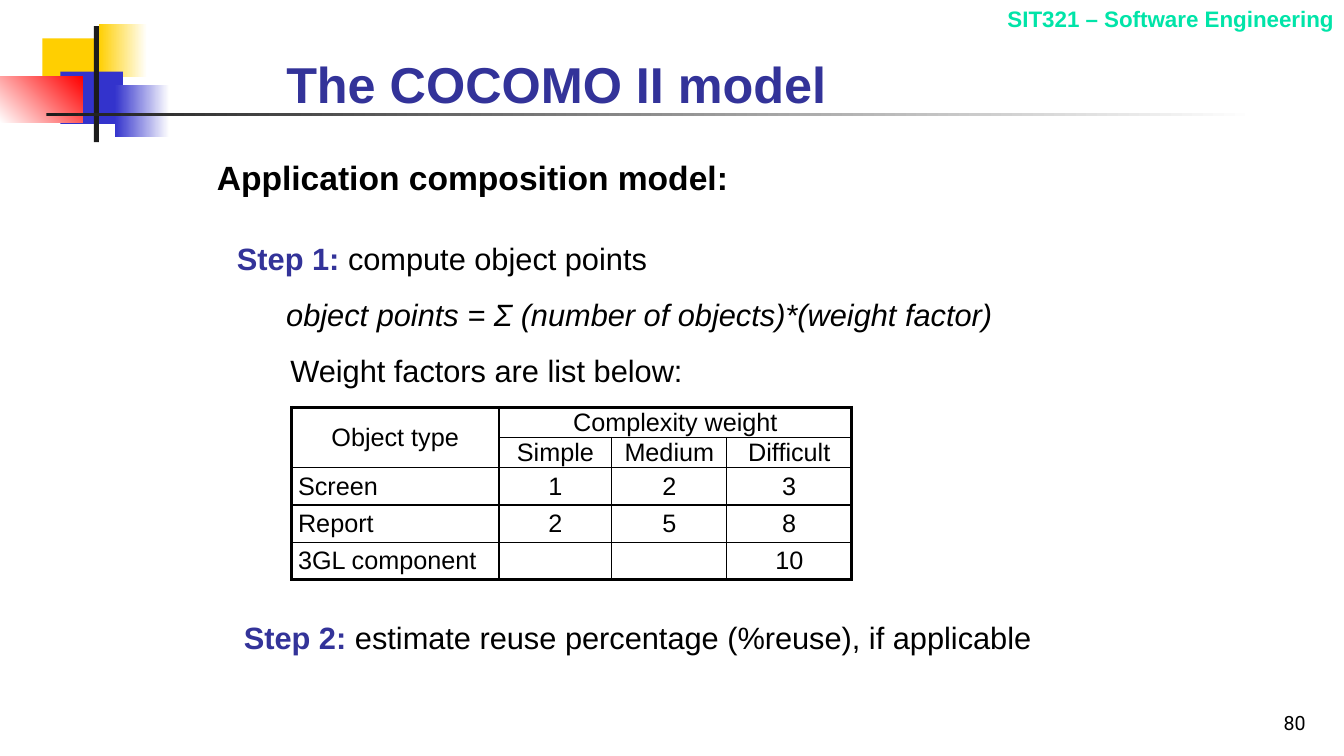
from dataclasses import dataclass

from lxml.etree import SubElement
from pptx import Presentation
from pptx.dml.color import RGBColor
from pptx.enum.shapes import MSO_SHAPE as Preset
from pptx.enum.text import MSO_ANCHOR as Anchor
from pptx.enum.text import MSO_AUTO_SIZE as AutoSize
from pptx.enum.text import PP_ALIGN as Align
from pptx.oxml.ns import qn
from pptx.util import Inches, Pt

SLIDE_WIDTH, SLIDE_HEIGHT = Inches(13.333), Inches(7.5)


@dataclass(frozen=True)
class Theme:
    sans: str = "Arial"
    number_face: str = "Roboto"
    ink: str = "000000"
    paper: str = "FFFFFF"
    accent: str = "333399"
    course: str = "00E4A8"
    yellow: str = "FFCF01"
    blue: str = "3333CC"
    red: str = "FF0000"
    charcoal: str = "1C1C1C"
    title_size: int = 36
    heading_size: int = 24
    body_size: int = 22
    table_size: int = 18
    course_size: int = 16
    number_size: int = 14
    thin: float = 1
    thick: float = 2.25


THEME = Theme()


@dataclass(frozen=True)
class Area:
    """A rectangle in percent of the slide's width and height."""
    left: float
    top: float
    width: float
    height: float

    def bounds(self) -> tuple[int, int, int, int]:
        return (share_x(self.left), share_y(self.top),
                share_x(self.width), share_y(self.height))


@dataclass(frozen=True)
class Ornament:
    area: Area
    color: str
    fade_to: str | None = None
    angle: int = 0


@dataclass(frozen=True)
class Span:
    text: str
    size: int = THEME.body_size
    color: str = THEME.ink
    bold: bool = False
    italic: bool = False
    face: str = THEME.sans


@dataclass(frozen=True)
class TextLine:
    area: Area
    spans: tuple[Span, ...]


ORNAMENTS = (
    Ornament(Area(3.15, 5.07, 4.8, 6.93), THEME.yellow),
    Ornament(Area(7.35, 3.2, 3.6, 6.93), THEME.yellow, THEME.paper),
    Ornament(Area(4.5, 9.47, 4.65, 6.93), THEME.blue),
    Ornament(Area(8.55, 11.2, 4.05, 6.93), THEME.blue, THEME.paper),
    Ornament(Area(0, 10.13, 6.15, 6.13), THEME.paper, THEME.red, 45),
    Ornament(Area(6.98, 3.47, 0.38, 15.33), THEME.charcoal),
    Ornament(Area(3.45, 14.93, 90, 0.4), THEME.charcoal, THEME.paper),
)

TITLE = TextLine(Area(20.55, 5.33, 44.55, 10.4), (
    Span("The COCOMO II model", THEME.title_size, THEME.accent, bold=True),))
CORNER_LINES = (
    TextLine(Area(60.23, 0, 39.77, 4.93), (
        Span("SIT321 – Software Engineering", THEME.course_size, THEME.course, bold=True),)),
    TextLine(Area(77.03, 91.07, 20.85, 6.67), (
        Span("80", THEME.number_size, face=THEME.number_face),)),
)
BODY_LINES = (
    TextLine(Area(16.13, 20.8, 38.4, 5.33), (
        Span("Application composition model:", THEME.heading_size, bold=True),)),
    TextLine(Area(17.63, 31.73, 30.9, 4.93), (
        Span("Step 1: ", color=THEME.accent, bold=True), Span("compute object points"))),
    TextLine(Area(21.3, 39.07, 53.25, 4.93), (
        Span("object points = Σ (number of objects)*(weight factor)", italic=True),)),
    TextLine(Area(21.6, 46.53, 29.55, 4.93), (Span("Weight factors are list below:"),)),
    TextLine(Area(18.15, 81.87, 59.4, 4.93), (
        Span("Step 2:", color=THEME.accent, bold=True),
        Span(" estimate reuse percentage (%reuse), if applicable"))),
)

TABLE_AREA = Area(21.68, 53.87, 41.7, 22.8)
COLUMN_SHARES = (15.45, 8.4, 8.55, 9.3)
ROW_SHARES = (4, 4, 4.93, 4.93, 4.93)
HEADER_ROWS = 2
WEIGHTS = (
    ("Object type", "Complexity weight", "", ""),
    ("", "Simple", "Medium", "Difficult"),
    ("Screen", "1", "2", "3"),
    ("Report", "2", "5", "8"),
    ("3GL component", "", "", "10"),
)


def share_x(percent: float) -> int:
    return round(SLIDE_WIDTH * percent / 100)


def share_y(percent: float) -> int:
    return round(SLIDE_HEIGHT * percent / 100)


def apply_format(target: object, values: dict) -> None:
    for name, value in values.items():
        setattr(target, name, value)


def write_spans(para, spans: tuple[Span, ...]) -> None:
    for span in spans:
        run = para.add_run()
        run.text = span.text
        apply_format(run.font, {"name": span.face, "size": Pt(span.size),
                                "bold": span.bold, "italic": span.italic})
        run.font.color.rgb = RGBColor.from_string(span.color)


def draw_ornament(page, ornament: Ornament) -> None:
    shape = page.shapes.add_shape(Preset.RECTANGLE, *ornament.area.bounds())
    shape.shadow.inherit = False
    shape.line.fill.background()
    if ornament.fade_to is None:
        shape.fill.solid()
        shape.fill.fore_color.rgb = RGBColor.from_string(ornament.color)
        return
    shape.fill.gradient()
    shape.fill.gradient_angle = ornament.angle
    for stop, color in zip(shape.fill.gradient_stops, (ornament.color, ornament.fade_to)):
        stop.color.rgb = RGBColor.from_string(color)


def draw_line(page, line: TextLine, frame_format: dict, align: Align) -> None:
    box = page.shapes.add_textbox(*line.area.bounds())
    apply_format(box.text_frame, frame_format)
    para = box.text_frame.paragraphs[0]
    para.alignment = align
    write_spans(para, line.spans)


def draw_title(page) -> None:
    title = page.shapes.title
    apply_format(title, dict(zip(("left", "top", "width", "height"), TITLE.area.bounds())))
    apply_format(title.text_frame, {"vertical_anchor": Anchor.BOTTOM, "word_wrap": True,
                                    "auto_size": AutoSize.NONE})
    para = title.text_frame.paragraphs[0]
    para.alignment = Align.LEFT
    write_spans(para, TITLE.spans)


def set_borders(cell, row: int, column: int) -> None:
    """Rule a cell, thick along the table's outer edge."""
    outer = {
        "a:lnL": column == 0,
        "a:lnR": column + cell.span_width == len(COLUMN_SHARES),
        "a:lnT": row == 0,
        "a:lnB": row + cell.span_height == len(ROW_SHARES),
    }
    properties = cell._tc.get_or_add_tcPr()
    for index, (tag, is_outer) in enumerate(outer.items()):
        width = Pt(THEME.thick if is_outer else THEME.thin)
        border = SubElement(properties, qn(tag), w=str(width))
        fill = SubElement(border, qn("a:solidFill"))
        SubElement(fill, qn("a:srgbClr"), val=THEME.ink)
        properties.insert(index, border)


def draw_table(page) -> None:
    table = page.shapes.add_table(
        len(ROW_SHARES), len(COLUMN_SHARES), *TABLE_AREA.bounds()).table
    apply_format(table, {"first_row": False, "horz_banding": False})
    for column, share in zip(table.columns, COLUMN_SHARES):
        column.width = share_x(share)
    for row, share in zip(table.rows, ROW_SHARES):
        row.height = share_y(share)
    table.cell(0, 0).merge(table.cell(1, 0))
    table.cell(0, 1).merge(table.cell(0, 3))
    for r, texts in enumerate(WEIGHTS):
        for c, text in enumerate(texts):
            cell = table.cell(r, c)
            is_label = c == 0 and r >= HEADER_ROWS
            apply_format(cell, {"margin_left": share_x(0.5) if is_label else 0,
                                "margin_right": 0, "margin_top": 0, "margin_bottom": 0,
                                "vertical_anchor": Anchor.MIDDLE})
            cell.fill.background()
            set_borders(cell, r, c)
            para = cell.text_frame.paragraphs[0]
            para.alignment = Align.LEFT if is_label else Align.CENTER
            if text:
                write_spans(para, (Span(text, THEME.table_size),))


def main() -> None:
    deck = Presentation()
    apply_format(deck, {"slide_width": SLIDE_WIDTH, "slide_height": SLIDE_HEIGHT})
    page = deck.slides.add_slide(deck.slide_layouts.get_by_name("Title Only"))
    for ornament in ORNAMENTS:
        draw_ornament(page, ornament)
    for line, anchor in zip(CORNER_LINES, (Anchor.TOP, Anchor.BOTTOM)):
        draw_line(page, line, {"word_wrap": True, "vertical_anchor": anchor}, Align.RIGHT)
    draw_title(page)
    body_format = {"word_wrap": False, "auto_size": AutoSize.SHAPE_TO_FIT_TEXT,
                   "margin_left": 0, "margin_right": 0, "margin_top": 0, "margin_bottom": 0}
    for line in BODY_LINES:
        draw_line(page, line, body_format, Align.LEFT)
    draw_table(page)
    deck.save("out.pptx")


if __name__ == "__main__":
    main()
